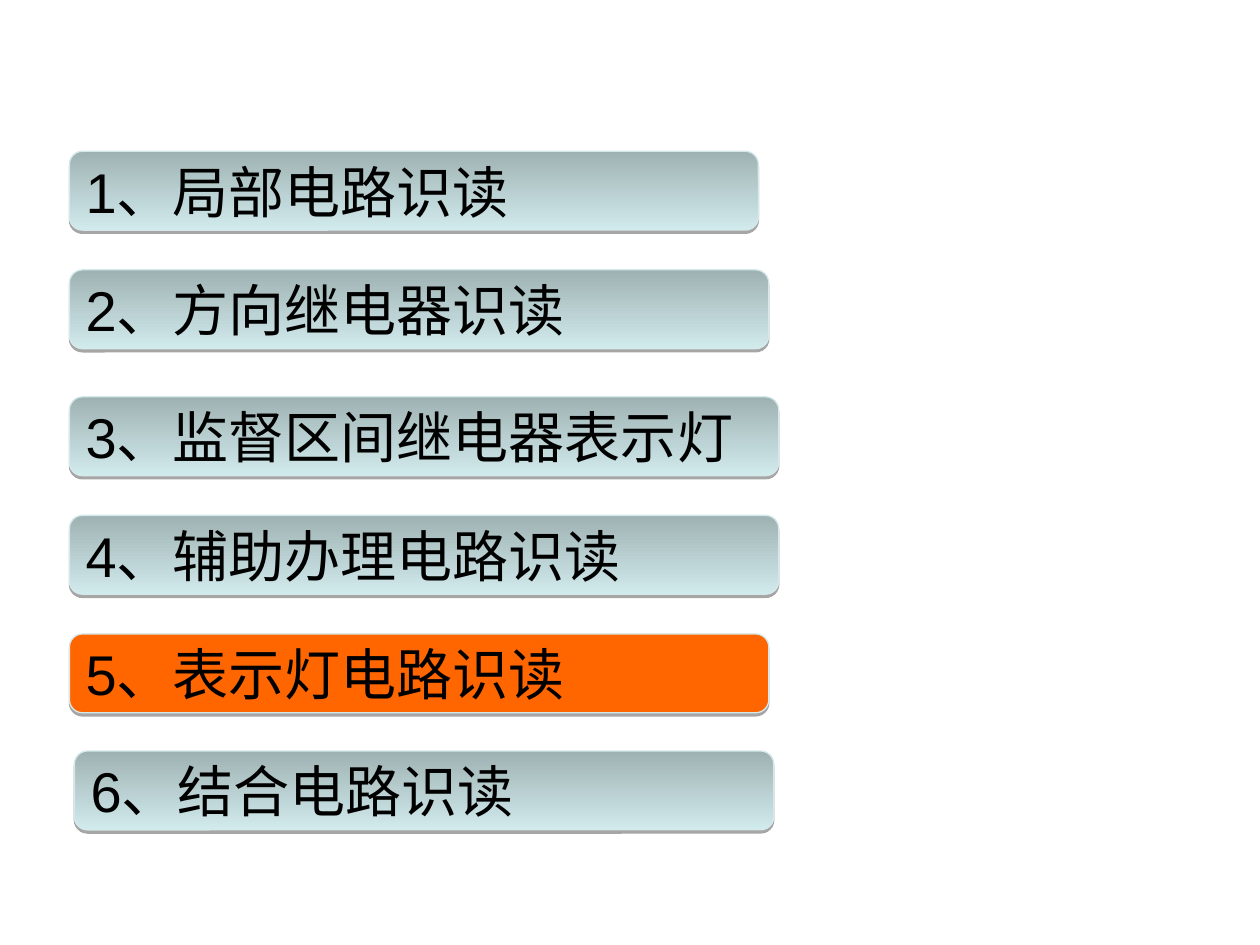
from lxml import etree
from pptx import Presentation
from pptx.dml.color import RGBColor
from pptx.enum.shapes import MSO_SHAPE
from pptx.enum.text import MSO_ANCHOR, PP_ALIGN
from pptx.oxml.ns import qn
from pptx.util import Cm, Pt

ROUNDED = MSO_SHAPE.ROUNDED_RECTANGLE
MIDDLE = MSO_ANCHOR.MIDDLE
LEFT = PP_ALIGN.LEFT

# Content: text, left, top, width (cm)
TOPICS = [
    ("1、局部电路识读", 1.4, 3.05, 13.89),
    ("2、方向继电器识读", 1.4, 5.44, 14.1),
    ("3、监督区间继电器表示灯", 1.4, 8.0, 14.3),
    ("4、辅助办理电路识读", 1.4, 10.39, 14.3),
    ("5、表示灯电路识读", 1.4, 12.78, 14.1),
    ("6、结合电路识读", 1.5, 15.14, 14.1),
]
CURRENT = 5
BAR_HEIGHT = 1.59
GRADIENT = ("9FB2B3", "D1EAEC")
HIGHLIGHT = "FF6600"
OUTLINE = "D5E8EA"
BLACK = "000000"


def color(value):
    return RGBColor.from_string(value)


def fill_bar(bar, highlighted):
    if highlighted:
        bar.fill.solid()
        bar.fill.fore_color.rgb = color(HIGHLIGHT)
        return
    bar.fill.gradient()
    bar.fill.gradient_angle = 270
    for stop, value in zip(bar.fill.gradient_stops, GRADIENT):
        stop.color.rgb = color(value)


def add_shadow(bar):
    bar.shadow.inherit = False
    effects = bar.element.spPr.find(qn("a:effectLst"))
    shadow = etree.SubElement(effects, qn("a:outerShdw"), blurRad="0",
                              dist=str(Pt(1.8)), dir="5400000", rotWithShape="0")
    tint = etree.SubElement(shadow, qn("a:srgbClr"), val=BLACK)
    etree.SubElement(tint, qn("a:alpha"), val="34000")


def add_bar(page, text, left, top, width, highlighted):
    bar = page.shapes.add_shape(ROUNDED, Cm(left), Cm(top), Cm(width), Cm(BAR_HEIGHT))
    fill_bar(bar, highlighted)
    bar.line.color.rgb = color(OUTLINE)
    bar.line.width = Pt(0.75)
    add_shadow(bar)

    frame = bar.text_frame
    frame.text = text
    frame.word_wrap = True
    frame.vertical_anchor = MIDDLE
    para = frame.paragraphs[0]
    para.alignment = LEFT
    for span in para.runs:
        span.font.name = "Arial"
        span.font.size = Pt(32)
        span.font.color.rgb = color(BLACK)


def main():
    deck = Presentation()
    deck.slide_width, deck.slide_height = Cm(25.4), Cm(19.05)
    page = deck.slides.add_slide(deck.slide_layouts[6])

    # Topic bars, with the current one highlighted
    for number, (text, left, top, width) in enumerate(TOPICS, start=1):
        add_bar(page, text, left, top, width, number == CURRENT)

    deck.save("out.pptx")


if __name__ == "__main__":
    main()
